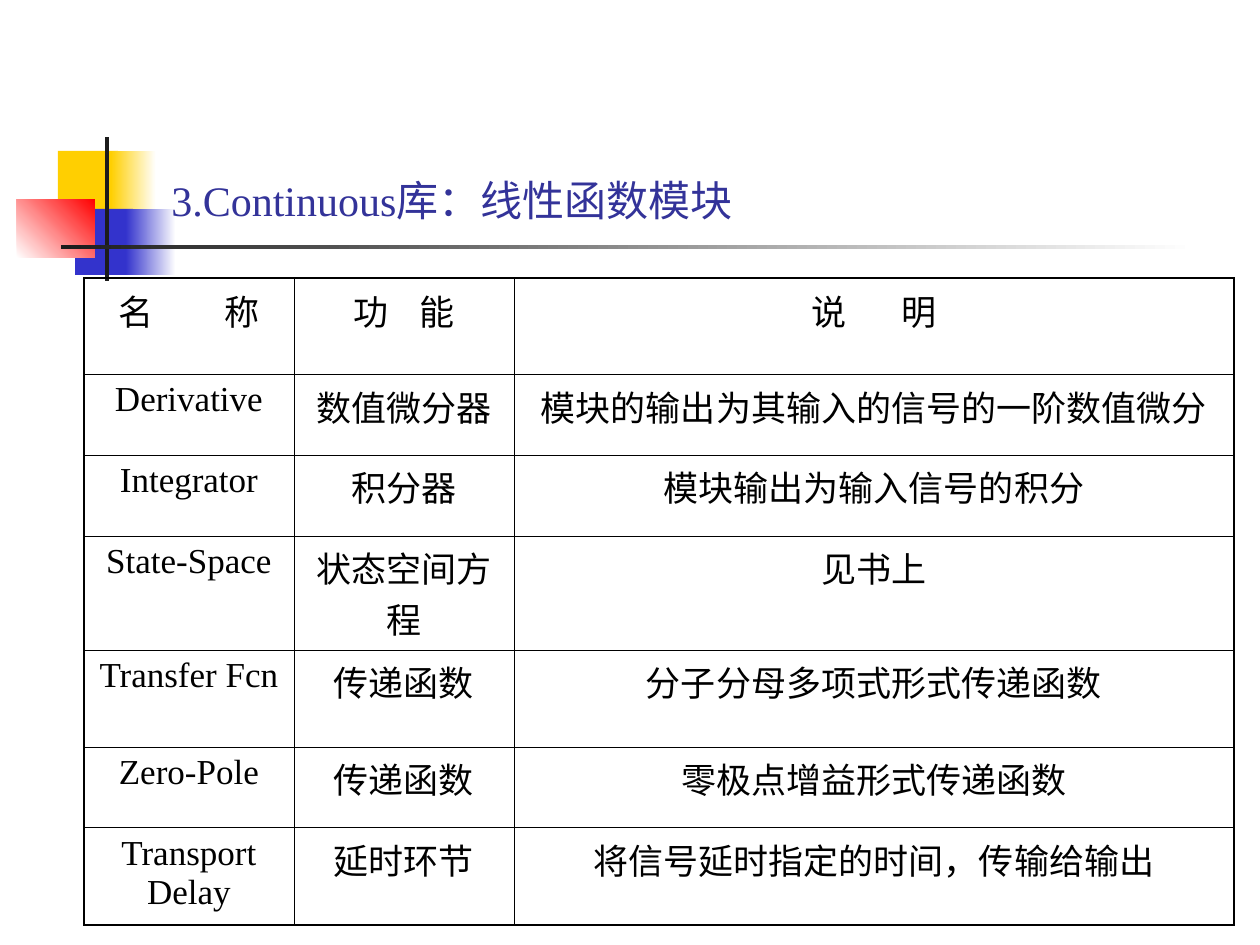
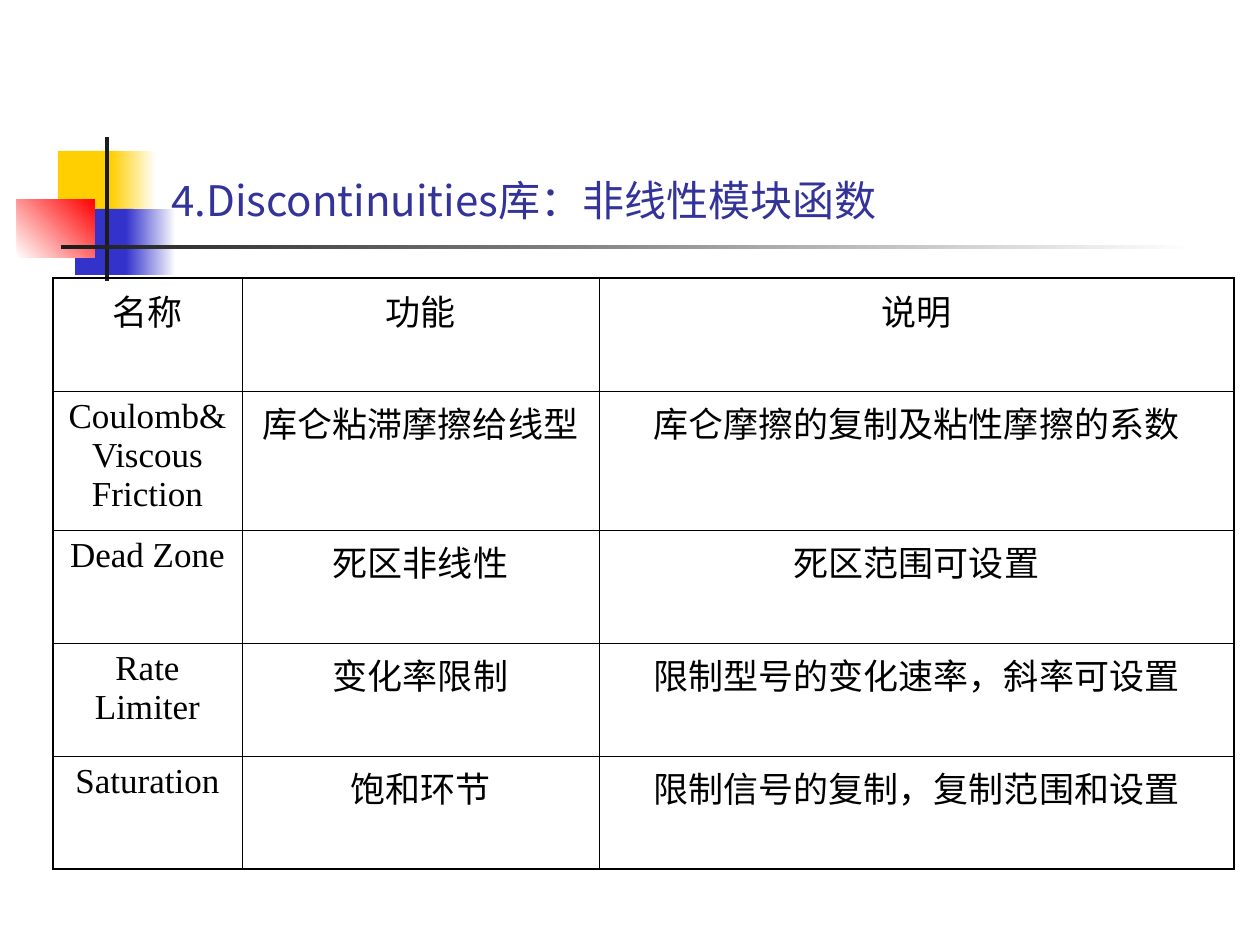
import pptx
import pptx.dml.color
import pptx.enum.shapes
import pptx.enum.text
import pptx.oxml
import pptx.oxml.ns
import pptx.util


class Theme:
    YELLOW = "FFCF01"
    BLUE = "3333CC"
    RED = "FF0000"
    WHITE = "FFFFFF"
    CHARCOAL = "1C1C1C"
    TITLE = "333399"
    INK = "000000"
    LATIN = "Times New Roman"
    CHINESE = "Noto Sans CJK SC"
    TITLE_SIZE = 24
    TABLE_SIZE = 20
    OUTER_BORDER = 1.08
    INNER_BORDER = 0.45


def px(length):
    """Turn a length at 126 px to the inch into EMU."""
    return pptx.util.Emu(round(length * 914400 / 126))


def add_run(paragraph, text, size, color, latin, spacing=0):
    """Add a styled run; spacing is extra character spacing in points."""
    run = paragraph.add_run()
    run.text = text
    run.font.size = pptx.util.Pt(size)
    run.font.color.rgb = pptx.dml.color.RGBColor.from_string(color)
    run.font.name = latin
    properties = run.font._element
    east_asian = pptx.oxml.parse_xml(
        f'<a:ea {pptx.oxml.ns.nsdecls("a")} typeface="{Theme.CHINESE}"/>')
    properties.find(pptx.oxml.ns.qn("a:latin")).addnext(east_asian)
    if spacing:
        properties.set("spc", str(round(spacing * 100)))


# left, top, width, height, colours (two make a gradient), gradient angle
ornaments = [
    (58, 151, 60, 66, [Theme.YELLOW], 0),
    (111, 151, 45, 66, [Theme.YELLOW, Theme.WHITE], 0),
    (75, 209, 58, 66, [Theme.BLUE], 0),
    (126, 209, 50, 66, [Theme.BLUE, Theme.WHITE], 0),
    (17, 199, 78, 59, [Theme.WHITE, Theme.RED], 45),
    (105, 137, 4, 144, [Theme.CHARCOAL], 0),
    (61, 245, 1134, 4, [Theme.CHARCOAL, Theme.WHITE], 0),
]

lessons = [
    {
        "title": "3.Continuous库：线性函数模块",
        "title_font": Theme.LATIN,
        "left": 84,
        "columns": [210, 220, 720],
        "rows": [96, 81, 81, 114, 97, 81, 97],
        "header_gaps": [36, 13.5, 27],
        "cells": [
            ("名 称", "功 能", "说 明"),
            ("Derivative", "数值微分器", "模块的输出为其输入的信号的一阶数值微分"),
            ("Integrator", "积分器", "模块输出为输入信号的积分"),
            ("State-Space", "状态空间方程", "见书上"),
            ("Transfer Fcn", "传递函数", "分子分母多项式形式传递函数"),
            ("Zero-Pole", "传递函数", "零极点增益形式传递函数"),
            ("Transport Delay", "延时环节", "将信号延时指定的时间，传输给输出"),
        ],
    },
    {
        "title": "4.Discontinuities库：非线性模块函数",
        "title_font": Theme.CHINESE,
        "left": 53,
        "columns": [189, 357, 635],
        "rows": [113, 139, 113, 113, 113],
        "header_gaps": [0, 0, 0],
        "cells": [
            ("名称", "功能", "说明"),
            ("Coulomb&Viscous Friction", "库仑粘滞摩擦给线型", "库仑摩擦的复制及粘性摩擦的系数"),
            ("Dead Zone", "死区非线性", "死区范围可设置"),
            ("Rate Limiter", "变化率限制", "限制型号的变化速率，斜率可设置"),
            ("Saturation", "饱和环节", "限制信号的复制，复制范围和设置"),
        ],
    },
]

presentation = pptx.Presentation()
presentation.slide_width = px(1260)
presentation.slide_height = px(945)

for lesson in lessons:
    slide = presentation.slides.add_slide(presentation.slide_layouts[6])

    for left, top, width, height, colors, angle in ornaments:
        shape = slide.shapes.add_shape(
            pptx.enum.shapes.MSO_SHAPE.RECTANGLE,
            px(left), px(top), px(width), px(height))
        shape.shadow.inherit = False
        shape.line.fill.background()
        if len(colors) == 1:
            shape.fill.solid()
            targets = [shape.fill.fore_color]
        else:
            shape.fill.gradient()
            shape.fill.gradient_angle = angle
            targets = [stop.color for stop in shape.fill.gradient_stops]
        for target, color in zip(targets, colors):
            target.rgb = pptx.dml.color.RGBColor.from_string(color)

    title = slide.shapes.add_textbox(px(159), px(29), px(1073), px(202))
    title.text_frame.word_wrap = True
    title.text_frame.vertical_anchor = pptx.enum.text.MSO_ANCHOR.BOTTOM
    add_run(title.text_frame.paragraphs[0], lesson["title"],
            Theme.TITLE_SIZE, Theme.TITLE, lesson["title_font"])

    columns, rows = lesson["columns"], lesson["rows"]
    table = slide.shapes.add_table(
        len(rows), len(columns), px(lesson["left"]), px(278),
        px(sum(columns)), px(sum(rows))).table
    table.first_row = False
    table.horz_banding = False
    for column, width in zip(table.columns, columns):
        column.width = px(width)
    for row, height in zip(table.rows, rows):
        row.height = px(height)

    for row_index, texts in enumerate(lesson["cells"]):
        for column_index, text in enumerate(texts):
            cell = table.cell(row_index, column_index)
            paragraph = cell.text_frame.paragraphs[0]
            paragraph.alignment = pptx.enum.text.PP_ALIGN.CENTER
            gap = lesson["header_gaps"][column_index] if row_index == 0 else 0
            # A header's single space is widened by character spacing.
            pieces = text.partition(" ") if gap else [text]
            for piece in pieces:
                add_run(paragraph, piece, Theme.TABLE_SIZE, Theme.INK,
                        Theme.LATIN, gap if piece == " " else 0)

            outer_sides = {
                "L": column_index == 0,
                "R": column_index == len(columns) - 1,
                "T": row_index == 0,
                "B": row_index == len(rows) - 1,
            }
            properties = cell._tc.get_or_add_tcPr()
            for side, is_outer in outer_sides.items():
                weight = Theme.OUTER_BORDER if is_outer else Theme.INNER_BORDER
                properties.append(pptx.oxml.parse_xml(
                    f'<a:ln{side} {pptx.oxml.ns.nsdecls("a")} w="{pptx.util.Pt(weight)}">'
                    f'<a:solidFill><a:srgbClr val="{Theme.INK}"/></a:solidFill>'
                    f'</a:ln{side}>'))
            cell.fill.background()

presentation.save("out.pptx")
